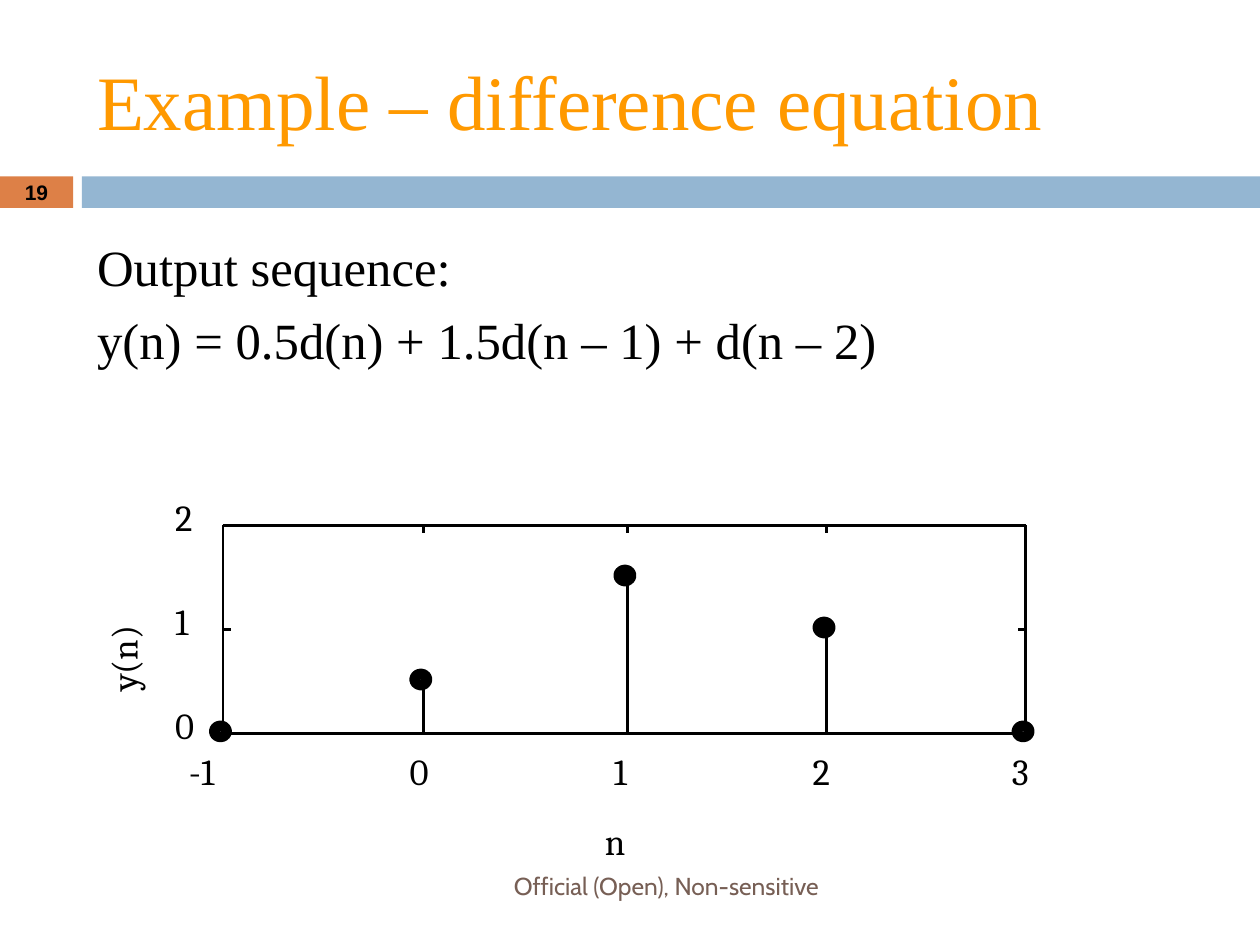
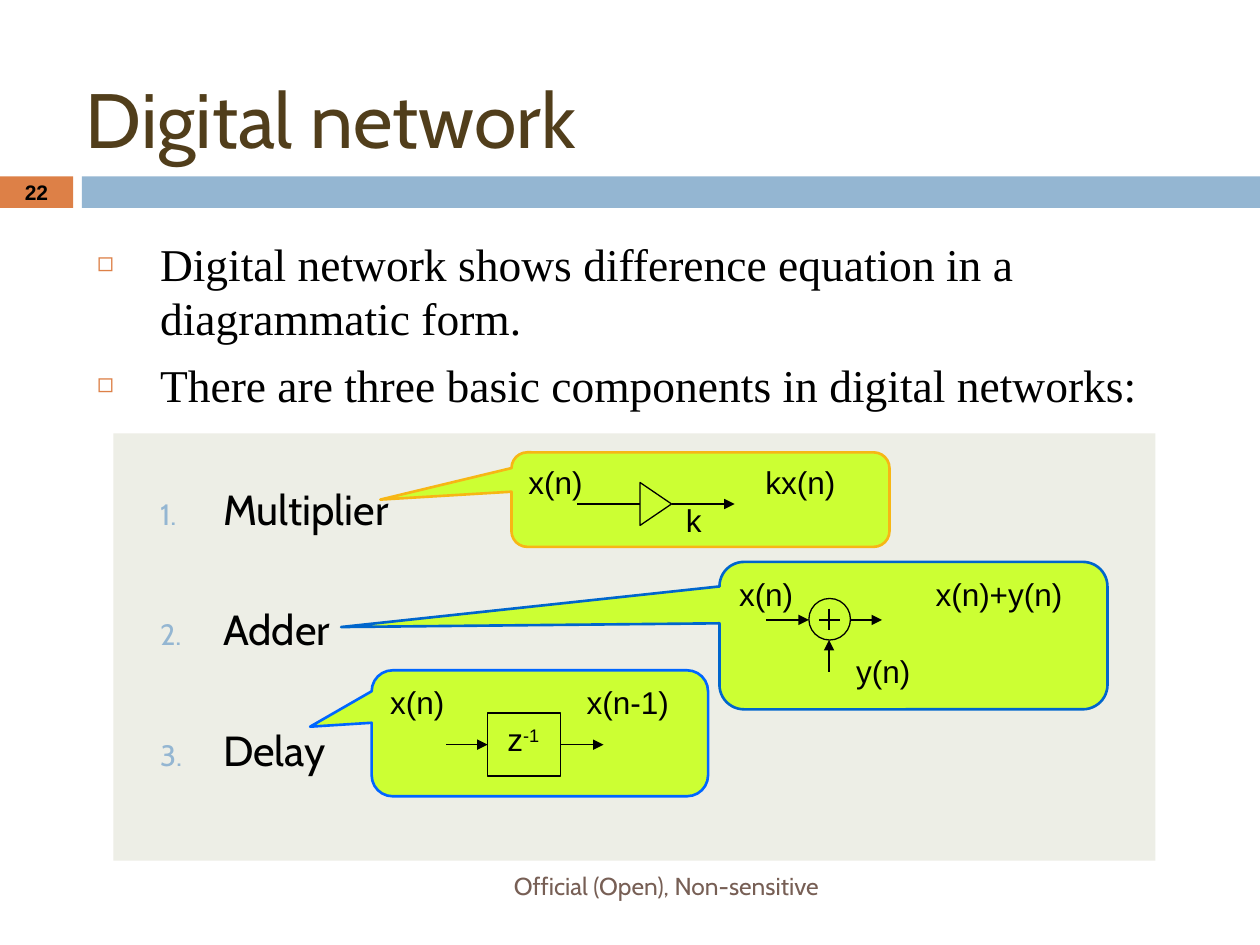
from lxml import etree
from pptx import Presentation
from pptx.dml.color import RGBColor
from pptx.enum.shapes import MSO_CONNECTOR, MSO_SHAPE
from pptx.enum.text import MSO_ANCHOR, MSO_AUTO_SIZE, PP_ALIGN
from pptx.oxml.ns import qn
from pptx.util import Inches, Pt

STRAIGHT = MSO_CONNECTOR.STRAIGHT
RECTANGLE = MSO_SHAPE.RECTANGLE
OVAL = MSO_SHAPE.OVAL
CALLOUT = MSO_SHAPE.ROUNDED_RECTANGULAR_CALLOUT
TOP, MIDDLE = MSO_ANCHOR.TOP, MSO_ANCHOR.MIDDLE
LEFT, CENTER, RIGHT = PP_ALIGN.LEFT, PP_ALIGN.CENTER, PP_ALIGN.RIGHT

BLACK = "000000"
ORANGE = "DD8047"
BLUE = "94B6D2"
LIME = "CCFF33"
SERIF, SANS, CABIN, CAMBRIA = "Times New Roman", "Arial", "Cabin", "Cambria"


def write(frame, text, size, font, color=BLACK, align=LEFT, anchor=TOP, bold=False):
    """Fill a text frame, one paragraph per line of text, in one style."""
    frame.text = text
    frame.word_wrap = True
    frame.auto_size = MSO_AUTO_SIZE.NONE
    frame.vertical_anchor = anchor
    for paragraph in frame.paragraphs:
        paragraph.alignment = align
        for run in paragraph.runs:
            run.font.size = Pt(size)
            run.font.name = font
            run.font.bold = bold
            run.font.color.rgb = RGBColor.from_string(color)


def add_line(slide, x1, y1, x2, y2, width=1.5, arrow=False):
    line = slide.shapes.add_connector(
        STRAIGHT, Inches(x1), Inches(y1), Inches(x2), Inches(y2))
    line.line.color.rgb = RGBColor.from_string(BLACK)
    line.line.width = Pt(width)
    if arrow:
        outline = line.line._get_or_add_ln()
        etree.SubElement(outline, qn("a:tailEnd"), type="triangle")
    etree.SubElement(line._element.spPr, qn("a:effectLst"))
    return line


presentation = Presentation()
presentation.slide_width = Inches(10)
presentation.slide_height = Inches(7.5)

# Titles, bands, page numbers and footers
slides = []
for title, title_box, title_font, title_color, number in [
    ("Example – difference equation", (0.67, 0.25, 8.92, 1.08), SERIF, "FF9900", "19"),
    ("Digital network", (0.58, 0.6, 9, 0.67), CABIN, "513E1B", "22"),
]:
    slide = presentation.slides.add_slide(presentation.slide_layouts[1])
    slides.append(slide)
    for left, width, color in [(0, 0.58, ORANGE), (0.65, 9.35, BLUE)]:
        band = slide.shapes.add_shape(
            RECTANGLE, Inches(left), Inches(1.4), Inches(width), Inches(0.25))
        band.shadow.inherit = False
        band.fill.solid()
        band.fill.fore_color.rgb = RGBColor.from_string(color)
        band.line.fill.background()

    for placeholder, box in [
        (slide.shapes.title, title_box),
        (slide.placeholders[1], (0.67, 1.75, 8.92, 4.92)),
    ]:
        placeholder.left, placeholder.top, placeholder.width, placeholder.height = map(Inches, box)
    write(slide.shapes.title.text_frame, title, 44, title_font, title_color, anchor=MIDDLE)

    page_number = slide.shapes.add_textbox(
        Inches(0), Inches(1.39), Inches(0.58), Inches(0.27))
    write(page_number.text_frame, number, 12, SANS, align=CENTER, anchor=MIDDLE, bold=True)
    footer = slide.shapes.add_textbox(
        Inches(0.67), Inches(6.83), Inches(5.93), Inches(0.4))
    write(footer.text_frame, "Official (Open), Non-sensitive", 14, CABIN, "775F55",
          align=RIGHT, anchor=MIDDLE)

example, network = slides

# Output sequence
body = example.placeholders[1].text_frame
write(body, "Output sequence:\ny(n) = 0.5d(n) + 1.5d(n – 1) + d(n – 2)", 29, SERIF)
for index, paragraph in enumerate(body.paragraphs):
    paragraph.space_before = Pt(7 if index else 0)
    properties = paragraph._p.get_or_add_pPr()
    properties.set("marL", "0")
    properties.set("indent", "0")
    etree.SubElement(properties, qn("a:buNone"))
body.margin_top = Inches(0.12)

# Stem plot of y(n)
plot_left, plot_right, plot_top, plot_bottom = 1.77, 8.14, 4.17, 5.82
unit = (plot_bottom - plot_top) / 2
tick = 0.06
samples = [(-1, 1.77, 0), (0, 3.36, 0.5), (1, 4.98, 1.5), (2, 6.56, 1), (3, 8.14, 0)]
labels = [("n", 4.8, 6.5, 0.25, 0), ("y(n)", 0.71, 5, 0.58, 270)]

for y in (plot_top, plot_bottom):
    add_line(example, plot_left, y, plot_right, y)
for x in (plot_left, plot_right):
    add_line(example, x, plot_bottom, x, plot_top)

for value in range(3):
    y = plot_bottom - value * unit
    add_line(example, plot_left, y, plot_left + tick, y)
    add_line(example, plot_right, y, plot_right - tick, y)
    labels.append((str(value), 1.39, y - 0.24, 0.25, 0))

for n, x, value in samples:
    y = plot_bottom - value * unit
    add_line(example, x, plot_bottom, x, plot_bottom - tick)
    add_line(example, x, plot_top, x, plot_top + tick)
    if value:
        add_line(example, x, plot_bottom, x, y)
    marker = example.shapes.add_shape(
        OVAL, Inches(x - 0.07), Inches(y - 0.06), Inches(0.1), Inches(0.09))
    marker.shadow.inherit = False
    marker.fill.solid()
    marker.fill.fore_color.rgb = RGBColor.from_string("FFFFFF")
    marker.line.color.rgb = RGBColor.from_string(BLACK)
    marker.line.width = Pt(6)
    if n < 0:
        labels.append((str(n), x - 0.27, 5.94, 0.4, 0))
    else:
        labels.append((str(n), x - 0.11, 5.94, 0.25, 0))

for text, left, top, width, rotation in labels:
    label = example.shapes.add_textbox(
        Inches(left), Inches(top), Inches(width), Inches(0.4))
    label.rotation = rotation
    frame = label.text_frame
    frame.margin_left = frame.margin_right = frame.margin_top = frame.margin_bottom = 0
    write(frame, text, 21, CAMBRIA)

# Panel behind the component list
panel = network.shapes.add_shape(
    RECTANGLE, Inches(0.9), Inches(3.44), Inches(8.27), Inches(3.39))
panel.shadow.inherit = False
panel.fill.solid()
panel.fill.fore_color.rgb = RGBColor.from_string("EDEEE6")
panel.line.fill.background()
network.shapes._spTree.insert(2, panel._element)

# Bullets and numbered components
facts = [
    "Digital network shows difference equation in a diagrammatic form.",
    "There are three basic components in digital networks:",
]
components = ["Multiplier", "Adder", "Delay"]
body = network.placeholders[1].text_frame
write(body, "\n".join(facts + components), 26, SERIF)
body.margin_top = Inches(0.12)
for paragraph, gap in zip(body.paragraphs, (0, 7, 41, 40, 40)):
    paragraph.space_before = Pt(gap)
    numbered = paragraph.text in components
    paragraph.level = int(numbered)
    properties = paragraph._p.get_or_add_pPr()
    properties.set("marL", str(Inches(1 if numbered else 0.5)))
    properties.set("indent", str(Inches(-0.5)))
    bullet_color = etree.SubElement(properties, qn("a:buClr"))
    etree.SubElement(bullet_color, qn("a:srgbClr"), val=BLUE if numbered else ORANGE)
    etree.SubElement(properties, qn("a:buSzPct"), val="70000" if numbered else "60000")
    if numbered:
        etree.SubElement(properties, qn("a:buFont"), typeface=CABIN)
        etree.SubElement(properties, qn("a:buAutoNum"), type="arabicPeriod")
        paragraph.runs[0].font.size = Pt(24)
        paragraph.runs[0].font.name = CABIN
    else:
        etree.SubElement(properties, qn("a:buChar"), char="◻")

# Callouts with the component diagrams
callouts = []
for box, pointer, outline, tabs, text, gap in [
    ((4.06, 3.59, 3, 0.75), (-0.847, 0), "F7B615", (1.25, 1.88), "x(n)\t\tkx(n)\n\tk", 0),
    ((5.71, 4.46, 3.08, 1.17), (-1.475, -0.058), "0066CC", (0.93, 1.56),
     "x(n)\t\tx(n)+y(n)\n\ty(n)", 22),
    ((2.95, 5.32, 2.67, 1), (-0.683, -0.052), "0066FF", (0.93, 1.56),
     "x(n)\t\tx(n-1)\n\tz", 0),
]:
    callout = network.shapes.add_shape(CALLOUT, *map(Inches, box))
    callouts.append(callout)
    callout.adjustments[0], callout.adjustments[1] = pointer
    callout.shadow.inherit = False
    callout.fill.solid()
    callout.fill.fore_color.rgb = RGBColor.from_string(LIME)
    callout.line.color.rgb = RGBColor.from_string(outline)
    callout.line.width = Pt(1.5)
    write(callout.text_frame, text, 18, SANS)
    for paragraph in callout.text_frame.paragraphs:
        tab_list = etree.SubElement(paragraph._p.get_or_add_pPr(), qn("a:tabLst"))
        for tab in tabs:
            etree.SubElement(tab_list, qn("a:tab"), pos=str(Inches(tab)), algn="l")
    callout.text_frame.paragraphs[1].space_before = Pt(gap)

exponent = callouts[2].text_frame.paragraphs[1].add_run()
exponent.text = "-1"
exponent.font.size = Pt(18)
exponent.font.name = SANS
exponent.font.color.rgb = RGBColor.from_string(BLACK)
exponent._r.get_or_add_rPr().set("baseline", "30000")

# Symbols: multiplier triangle, adder circle, delay box
builder = network.shapes.build_freeform(Inches(5.08), Inches(3.83))
builder.add_line_segments(
    [(Inches(5.33), Inches(4)), (Inches(5.08), Inches(4.17))], close=True)
triangle = builder.convert_to_shape()
circle = network.shapes.add_shape(
    OVAL, Inches(6.42), Inches(4.75), Inches(0.33), Inches(0.33))
delay_box = network.shapes.add_shape(
    RECTANGLE, Inches(3.87), Inches(5.66), Inches(0.58), Inches(0.5))
for symbol in (triangle, circle, delay_box):
    symbol.shadow.inherit = False
    symbol.fill.background()
    symbol.line.color.rgb = RGBColor.from_string(BLACK)
    symbol.line.width = Pt(0.75)

# Plus sign and signal paths
add_line(network, 6.58, 4.83, 6.58, 5)
add_line(network, 6.5, 4.92, 6.67, 4.92)
add_line(network, 4.58, 4, 5.08, 4, 0.75)
for x1, y1, x2, y2 in [
    (5.33, 4, 5.83, 4),
    (6.08, 4.92, 6.42, 4.92),
    (6.75, 4.92, 7, 4.92),
    (6.58, 5.33, 6.58, 5.08),
]:
    add_line(network, x1, y1, x2, y2, 0.75, arrow=True)
delay_input = add_line(network, 3.54, 5.91, 3.87, 5.91, 0.75, arrow=True)
delay_input.end_connect(delay_box, 1)
delay_output = add_line(network, 4.45, 5.91, 4.79, 5.91, 0.75, arrow=True)
delay_output.begin_connect(delay_box, 3)

presentation.save("out.pptx")
